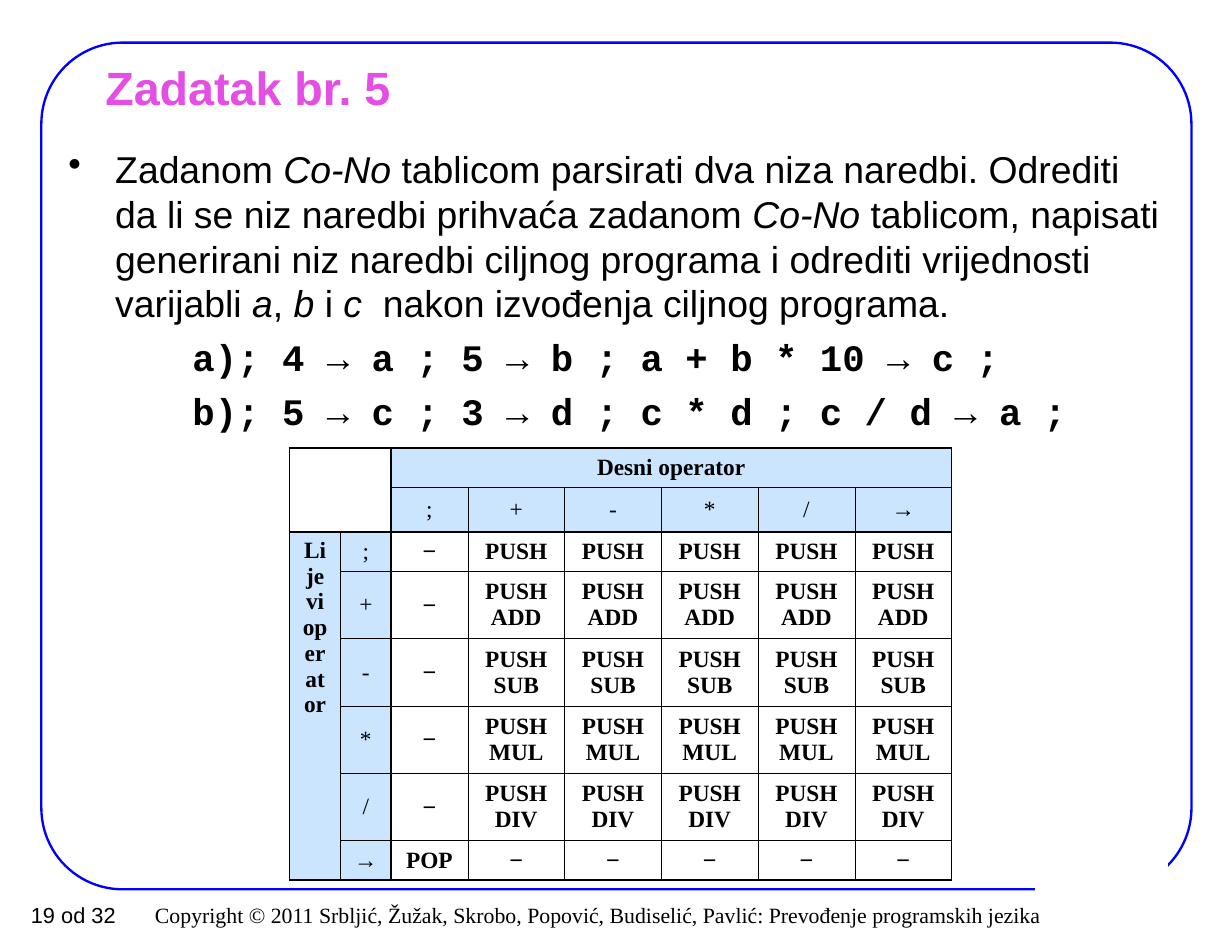
from lxml.etree import SubElement
from pptx import Presentation
from pptx.dml.color import RGBColor
from pptx.enum.shapes import MSO_SHAPE
from pptx.enum.text import MSO_ANCHOR, PP_ALIGN
from pptx.oxml import parse_xml
from pptx.oxml.ns import nsdecls, qn
from pptx.util import Pt

BLACK = RGBColor(0x00, 0x00, 0x00)
WHITE = RGBColor(0xFF, 0xFF, 0xFF)
FRAME_BLUE = RGBColor(0x00, 0x00, 0xFF)
TITLE_PINK = RGBColor(0xE4, 0x4E, 0xE4)
HEADER_BLUE = RGBColor(0x99, 0xCC, 0xFF)

SANS, SERIF, MONO = "Arial", "Times New Roman", "Courier New"
NO_STYLE = "{2D5ABB26-0587-4C30-8999-92F81FD0307C}"

# Pieces at odd positions are set in italics.
TASK = [
    "Zadanom ", "Co-No",
    " tablicom parsirati dva niza naredbi. Odrediti da li se niz naredbi "
    "prihvaća zadanom ", "Co-No",
    " tablicom, napisati generirani niz naredbi ciljnog programa i odrediti "
    "vrijednosti varijabli ", "a", ", ", "b", " i ", "c",
    "  nakon izvođenja ciljnog programa.",
]
COMMANDS = [
    "; 4 → a ; 5 → b ; a + b * 10 → c ;",
    "; 5 → c ; 3 → d ; c * d ; c / d → a ;",
]

OPERATORS = [";", "+", "-", "*", "/", "→"]
ACTIONS = ["PUSH", "PUSH\nADD", "PUSH\nSUB", "PUSH\nMUL", "PUSH\nDIV"]
COLUMN_WIDTHS = [33.1, 32.2, 49.5] + [62.2] * 5
ROW_HEIGHTS = [25.1] * 3 + [43.3] * 4 + [25.1]
HEAVY_COLUMN_EDGES = {0, 2, 8}
HEAVY_ROW_EDGES = {0, 1, 2, 8}


def set_font(run, name, size, color=BLACK, bold=False, italic=False):
    font = run.font
    font.name, font.size, font.bold, font.italic = name, Pt(size), bold, italic
    font.color.rgb = color


def add_text_area(slide, box, insets=(7.2, 3.6), anchor=MSO_ANCHOR.TOP, wrap=True):
    frame = slide.shapes.add_textbox(*map(Pt, box)).text_frame
    frame.word_wrap = wrap
    frame.vertical_anchor = anchor
    frame.margin_left = frame.margin_right = Pt(insets[0])
    frame.margin_top = frame.margin_bottom = Pt(insets[1])
    return frame


def add_line_of_text(frame, text, name, size, align, color=BLACK, bold=False):
    paragraph = frame.paragraphs[0]
    paragraph.text = text
    paragraph.alignment = align
    set_font(paragraph.runs[0], name, size, color, bold)


def add_frame(slide, box):
    """Rounded outline, opened at its lower right corner by a white patch."""
    left, top, width, height = box
    outline = slide.shapes.add_shape(MSO_SHAPE.ROUNDED_RECTANGLE, *map(Pt, box))
    outline.adjustments[0] = 0.096
    outline.fill.background()
    patch = slide.shapes.add_shape(
        MSO_SHAPE.RECTANGLE, Pt(left + width - 100), Pt(top + height - 19.3),
        Pt(84.2), Pt(36))
    patch.fill.solid()
    patch.fill.fore_color.rgb = WHITE
    for shape, color, weight in ((outline, FRAME_BLUE, 1.5), (patch, WHITE, 1)):
        shape.shadow.inherit = False
        shape.line.color.rgb = color
        shape.line.width = Pt(weight)


def add_footer(slide, box):
    left, top, width, height = box
    copyright_line = add_text_area(slide, box, anchor=MSO_ANCHOR.MIDDLE)
    add_line_of_text(
        copyright_line,
        "Copyright © 2011 Srbljić, Žužak, Skrobo, Popović, Budiselić, Pavlić: "
        "Prevođenje programskih jezika", SERIF, 14, PP_ALIGN.RIGHT)
    page = add_text_area(slide, (left - 23.7, top, 117.4, height), wrap=False)
    add_line_of_text(page, "19 od 32", SANS, 14, PP_ALIGN.CENTER)


def add_title(slide, box):
    title = add_text_area(slide, box, (7.9, 4.3), MSO_ANCHOR.MIDDLE)
    add_line_of_text(title, "Zadatak br. 5", SANS, 30, PP_ALIGN.LEFT, TITLE_PINK, True)


def add_bullet(paragraph, margin, hanging, tag, **attributes):
    properties = paragraph._p.get_or_add_pPr()
    properties.set("marL", str(Pt(margin)))
    properties.set("indent", str(-Pt(hanging)))
    color = SubElement(properties, qn("a:buClr"))
    SubElement(color, qn("a:srgbClr"), val=str(BLACK))
    SubElement(properties, qn(tag), **attributes)
    paragraph.line_spacing = Pt(28.7)


def add_task(slide, box):
    frame = add_text_area(slide, box, (7.9, 4.3))
    task = frame.paragraphs[0]
    add_bullet(task, 30.2, 30.2, "a:buChar", char="•")
    for position, piece in enumerate(TASK):
        run = task.add_run()
        run.text = piece
        set_font(run, SANS, 24, italic=position % 2 == 1)
    for text in COMMANDS:
        command = frame.add_paragraph()
        command.text = text
        command.level = 2
        command.alignment = PP_ALIGN.JUSTIFY
        command.space_before = Pt(6)
        add_bullet(command, 100.1, 20.2, "a:buAutoNum", type="alphaLcParenR")
        set_font(command.runs[0], MONO, 24, bold=True)


def set_borders(cell, row, column):
    """Heavy rules around the header bands and the table, thin ones elsewhere."""
    row_end = row + (cell.span_height if cell.is_merge_origin else 1)
    column_end = column + (cell.span_width if cell.is_merge_origin else 1)
    edges = [
        ("lnL", column in HEAVY_COLUMN_EDGES),
        ("lnR", column_end in HEAVY_COLUMN_EDGES),
        ("lnT", row in HEAVY_ROW_EDGES),
        ("lnB", row_end in HEAVY_ROW_EDGES),
    ]
    for position, (tag, heavy) in enumerate(edges):
        border = parse_xml(
            f'<a:{tag} {nsdecls("a")} w="{Pt(0.96 if heavy else 0.45)}">'
            f'<a:solidFill><a:srgbClr val="{BLACK}"/></a:solidFill></a:{tag}>')
        cell._tc.get_or_add_tcPr().insert(position, border)


def fill_header(cell):
    cell.fill.solid()
    cell.fill.fore_color.rgb = HEADER_BLUE
    color = cell._tc.tcPr.find(".//" + qn("a:srgbClr"))
    SubElement(color, qn("a:alpha"), val="50000")


def cell_texts():
    """Rows of the operator table, with empty texts where cells are merged."""
    rows = [["", "", "Desni operator"] + [""] * 5, ["", ""] + OPERATORS]
    for operator, action in zip(OPERATORS, ACTIONS):
        rows.append(["", operator, "−"] + [action] * 5)
    rows.append(["", OPERATORS[-1], "POP"] + ["−"] * 5)
    rows[2][0] = "Lijevi operator"
    return rows


def add_operator_table(slide, left, top):
    graphic = slide.shapes.add_table(
        len(ROW_HEIGHTS), len(COLUMN_WIDTHS), Pt(left), Pt(top),
        Pt(sum(COLUMN_WIDTHS)), Pt(sum(ROW_HEIGHTS)))
    table = graphic.table
    table.first_row = table.horz_banding = False
    table._tbl.tblPr.find(qn("a:tableStyleId")).text = NO_STYLE
    for column, width in zip(table.columns, COLUMN_WIDTHS):
        column.width = Pt(width)
    for row, height in zip(table.rows, ROW_HEIGHTS):
        row.height = Pt(height)
    table.cell(0, 0).merge(table.cell(1, 1))
    table.cell(0, 2).merge(table.cell(0, 7))
    table.cell(2, 0).merge(table.cell(7, 0))

    for r, texts in enumerate(cell_texts()):
        for c, text in enumerate(texts):
            cell = table.cell(r, c)
            if cell.is_spanned:
                continue
            if text and (r < 2 or c < 2):
                fill_header(cell)
            else:
                cell.fill.background()
            set_borders(cell, r, c)
            cell.margin_left = cell.margin_right = Pt(7.2)
            cell.margin_top = cell.margin_bottom = Pt(3.6)
            cell.vertical_anchor = MSO_ANCHOR.TOP if (r, c) == (2, 0) else MSO_ANCHOR.MIDDLE
            paragraph = cell.text_frame.paragraphs[0]
            paragraph.text = text
            paragraph.alignment = PP_ALIGN.CENTER
            for run in paragraph.runs:
                set_font(run, SANS if text == "−" else SERIF, 15, bold=len(text) > 1)


def main():
    presentation = Presentation()
    presentation.slide_width, presentation.slide_height = Pt(792), Pt(612)
    slide = presentation.slides.add_slide(presentation.slide_layouts[6])
    add_frame(slide, (26.6, 27.4, 739.4, 544.3))
    add_footer(slide, (12.2, 576, 664.6, 24.5))
    add_title(slide, (59.8, 36, 673.2, 39.6))
    add_task(slide, (36, 90, 720, 437))
    add_operator_table(slide, 186, 288)
    presentation.save("out.pptx")


if __name__ == "__main__":
    main()
